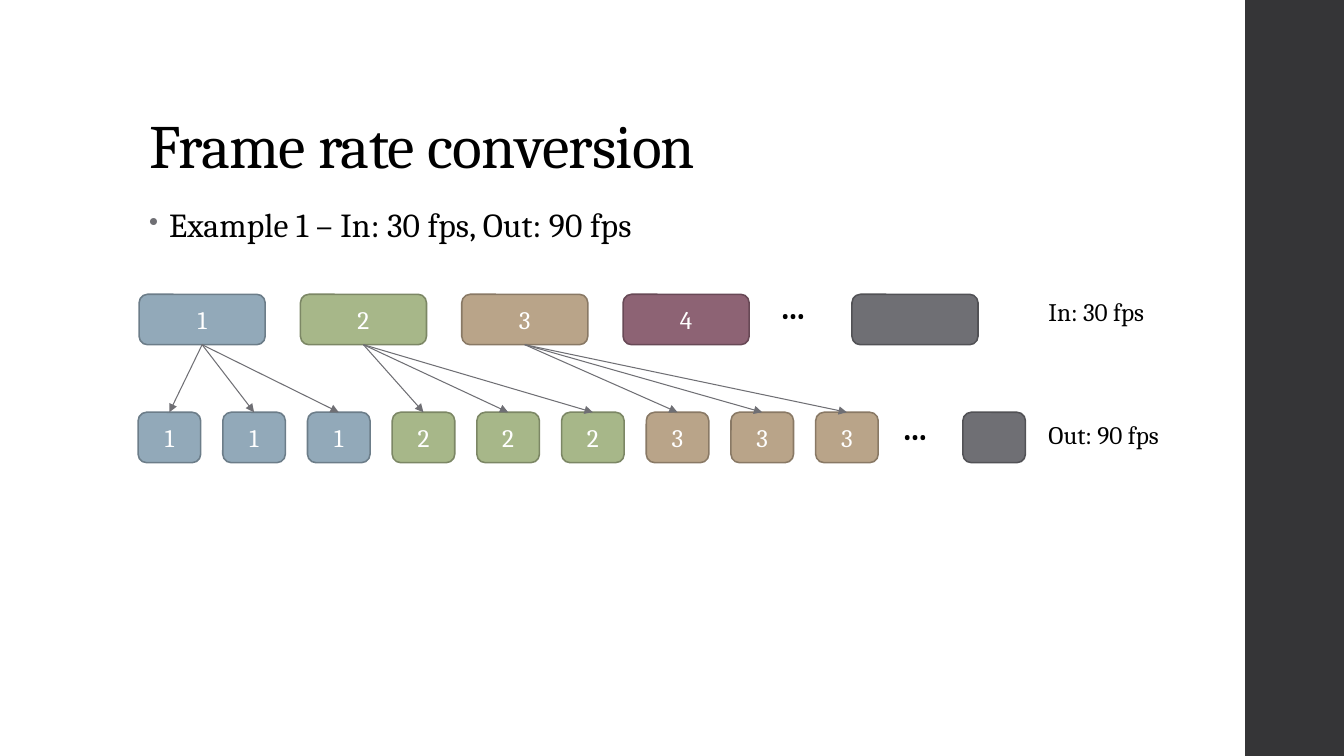
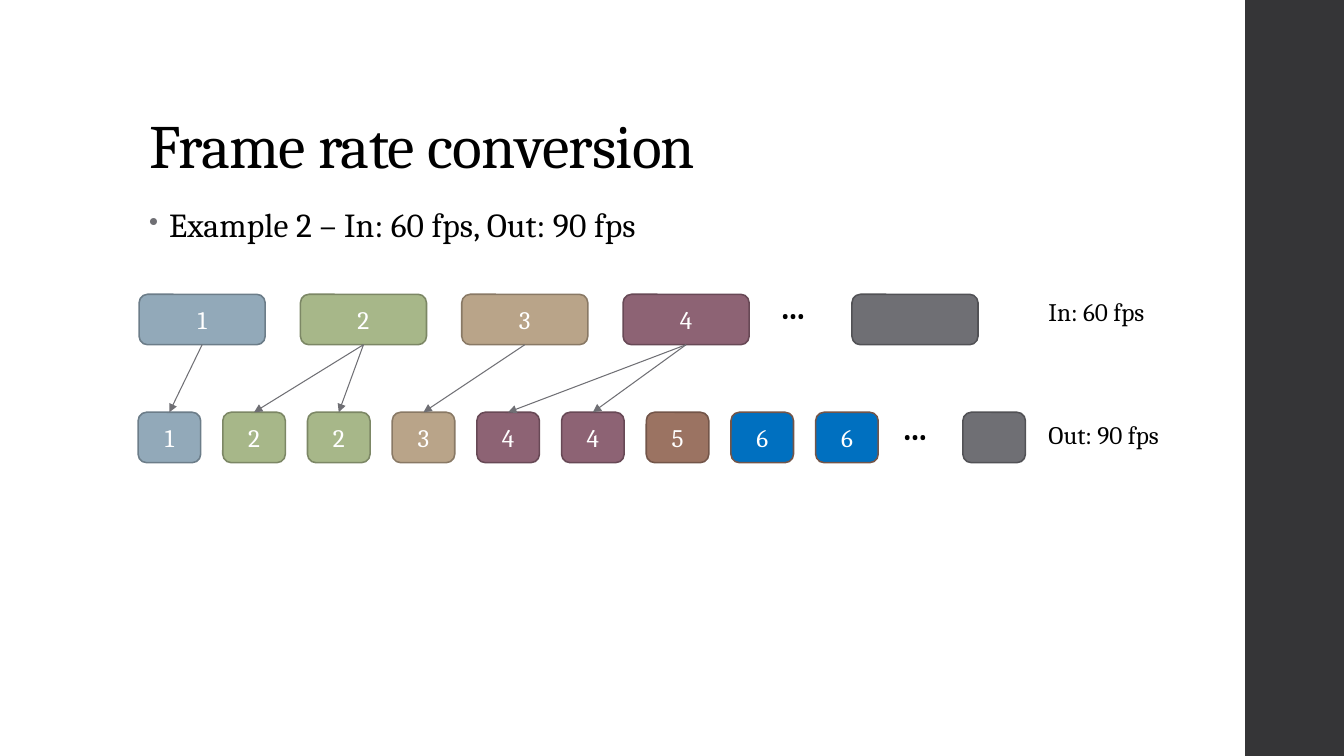
from lxml.etree import SubElement
from pptx import Presentation
from pptx.dml.color import RGBColor
from pptx.enum.shapes import MSO_CONNECTOR, MSO_SHAPE
from pptx.enum.text import MSO_ANCHOR, PP_ALIGN
from pptx.oxml.ns import qn
from pptx.util import Inches, Pt

# Shared style
FONT = "Cambria"
BLACK = RGBColor(0x00, 0x00, 0x00)
WHITE = RGBColor(0xFF, 0xFF, 0xFF)
CHARCOAL = RGBColor(0x35, 0x35, 0x37)
GRAY = RGBColor(0x6F, 0x6F, 0x74)
DARK_GRAY = RGBColor(0x52, 0x52, 0x56)
BLUE = RGBColor(0x92, 0xA9, 0xB9)
DARK_BLUE = RGBColor(0x6C, 0x7D, 0x89)
GREEN = RGBColor(0xA7, 0xB7, 0x89)
DARK_GREEN = RGBColor(0x7C, 0x87, 0x65)
TAN = RGBColor(0xB9, 0xA4, 0x89)
DARK_TAN = RGBColor(0x89, 0x79, 0x65)
PLUM = RGBColor(0x8D, 0x63, 0x74)
DARK_PLUM = RGBColor(0x68, 0x49, 0x56)
BROWN = RGBColor(0x9B, 0x73, 0x62)
DARK_BROWN = RGBColor(0x73, 0x55, 0x49)
BRIGHT_BLUE = RGBColor(0x00, 0x70, 0xC0)

# Fill and outline of each frame number; None is the unnumbered last frame
FRAME_COLORS = {
    1: (BLUE, DARK_BLUE),
    2: (GREEN, DARK_GREEN),
    3: (TAN, DARK_TAN),
    4: (PLUM, DARK_PLUM),
    5: (BROWN, DARK_BROWN),
    6: (BRIGHT_BLUE, DARK_BROWN),
    None: (GRAY, DARK_GRAY),
}

# Frame rows: left edge, step, top, frame width
IN_ROW = (1.38, 1.6, 2.92, 1.25)
OUT_ROW = (1.37, 0.84, 4.09, 0.62)
FRAME_HEIGHT = 0.5
LABEL_LEFT = 10.3

INPUT_FRAMES = [1, 2, 3, 4]
EXAMPLES = [
    # heading, input rate, output frames
    ("Example 1 – In: 30 fps, Out: 90 fps", "In: 30 fps",
     [1, 1, 1, 2, 2, 2, 3, 3, 3]),
    ("Example 2 – In: 60 fps, Out: 90 fps", "In: 60 fps",
     [1, 2, 2, 3, 4, 4, 5, 6, 6]),
]


def set_font(paragraph, size, color, bold=None):
    font = paragraph.font
    font.name = FONT
    font.size = Pt(size)
    font.color.rgb = color
    font.bold = bold


def add_text(slide, text, left, top, width, height, size, bold=None):
    box = slide.shapes.add_textbox(
        Inches(left), Inches(top), Inches(width), Inches(height))
    box.text_frame.word_wrap = True
    paragraph = box.text_frame.paragraphs[0]
    paragraph.text = text
    set_font(paragraph, size, BLACK, bold)
    return box.text_frame


def set_letter_spacing(paragraph, points):
    for run in paragraph.runs:
        run._r.get_or_add_rPr().set("spc", str(round(points * 100)))


def add_bullet(paragraph):
    properties = paragraph._p.get_or_add_pPr()
    properties.set("marL", str(Inches(0.2)))
    properties.set("indent", str(Inches(-0.2)))
    # Bullet elements come before the default run properties
    default_run = properties.find(qn("a:defRPr"))
    color = SubElement(properties, qn("a:buClr"))
    SubElement(color, qn("a:srgbClr"), val=str(GRAY))
    SubElement(properties, qn("a:buSzPct"), val="80000")
    SubElement(properties, qn("a:buChar"), char="•")
    if default_run is not None:
        properties.append(default_run)


def add_block(slide, kind, left, top, width, height, fill):
    block = slide.shapes.add_shape(
        kind, Inches(left), Inches(top), Inches(width), Inches(height))
    block.shadow.inherit = False
    block.fill.solid()
    block.fill.fore_color.rgb = fill
    return block


def add_frame(slide, number, left, top, width):
    fill, outline = FRAME_COLORS[number]
    frame = add_block(slide, MSO_SHAPE.ROUNDED_RECTANGLE,
                      left, top, width, FRAME_HEIGHT, fill)
    frame.line.color.rgb = outline
    frame.line.width = Pt(1.1)
    if number is not None:
        frame.text_frame.vertical_anchor = MSO_ANCHOR.MIDDLE
        paragraph = frame.text_frame.paragraphs[0]
        paragraph.text = str(number)
        paragraph.alignment = PP_ALIGN.CENTER
        set_font(paragraph, 18, WHITE)
    return frame


def add_row(slide, numbers, row, ellipsis_at, last_left):
    left, step, top, width = row
    frames = [add_frame(slide, number, left + i * step, top, width)
              for i, number in enumerate(numbers)]
    add_text(slide, "…", *ellipsis_at, 0.48, 0.5, 24, bold=True)
    add_frame(slide, None, last_left, top, width)
    return frames


def add_arrow(slide, source, target):
    arrow = slide.shapes.add_connector(MSO_CONNECTOR.STRAIGHT, 0, 0, 0, 0)
    arrow.begin_connect(source, 2)
    arrow.end_connect(target, 0)
    arrow.line.color.rgb = GRAY
    arrow.line.width = Pt(0.75)
    SubElement(arrow.line._get_or_add_ln(), qn("a:tailEnd"), type="triangle")
    SubElement(arrow._element.spPr, qn("a:effectLst"))


def add_base(prs, heading):
    slide = prs.slides.add_slide(prs.slide_layouts[6])
    # Side band
    band = add_block(slide, MSO_SHAPE.RECTANGLE, 12.35, 0, 0.98, 7.5, CHARCOAL)
    band.line.fill.background()
    # Title
    title = add_text(slide, "Frame rate conversion", 1.38, 0.4, 10.6, 1.45, 44)
    title.vertical_anchor = MSO_ANCHOR.BOTTOM
    title.paragraphs[0].line_spacing = 0.9
    set_letter_spacing(title.paragraphs[0], -0.5)
    # Example heading
    example = add_text(slide, heading, 1.38, 2, 10.22, 0.6, 24).paragraphs[0]
    add_bullet(example)
    example.line_spacing = 0.95
    set_letter_spacing(example, 0.1)
    return slide


def add_example(prs, heading, input_rate, output_frames):
    slide = add_base(prs, heading)
    # Input and output frames
    inputs = add_row(slide, INPUT_FRAMES, IN_ROW, (7.64, 2.79), 8.45)
    outputs = add_row(slide, output_frames, OUT_ROW, (8.85, 3.99), 9.55)
    # Each output frame repeats the input frame of the same number
    sources = dict(zip(INPUT_FRAMES, inputs))
    for number, target in zip(output_frames, outputs):
        if number in sources:
            add_arrow(slide, sources[number], target)
    # Rate labels
    add_text(slide, input_rate, LABEL_LEFT, 2.89, 1.46, 0.4, 18)
    add_text(slide, "Out: 90 fps", LABEL_LEFT, 4.11, 1.65, 0.4, 18)


def main():
    prs = Presentation()
    prs.slide_width = Inches(13.33)
    prs.slide_height = Inches(7.5)
    for example in EXAMPLES:
        add_example(prs, *example)
    prs.save("out.pptx")


if __name__ == "__main__":
    main()
